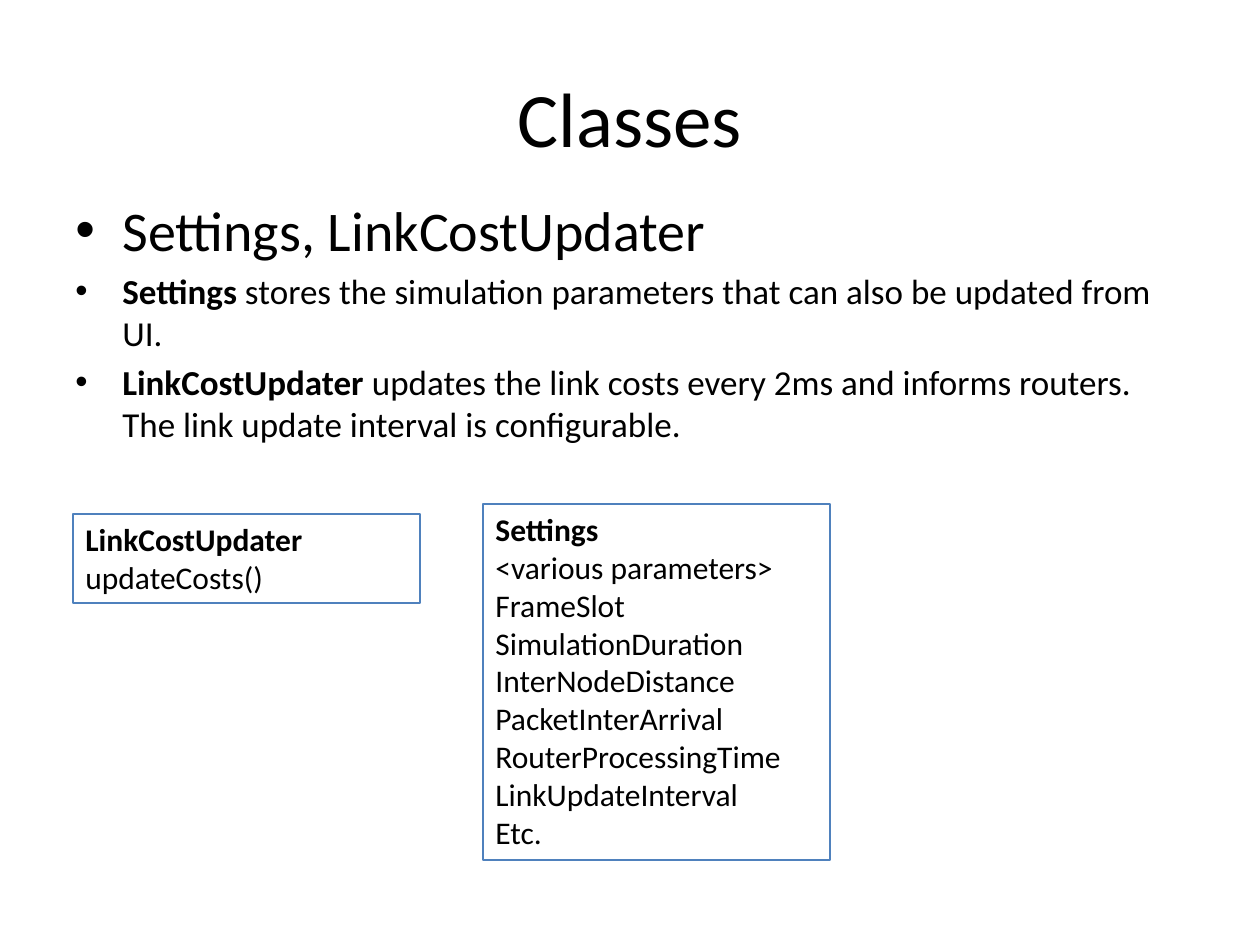
from pptx import Presentation
from pptx import util as u
from pptx.dml.color import RGBColor
from pptx.enum import shapes, text
from pptx.oxml.ns import qn
from lxml import etree

SCALE = 914400 / 126
BLACK, BLUE = "000000", "4F81BD"


def px(n):
    """Turn pixels into EMU."""
    return u.Emu(round(n * SCALE))


def color(code):
    """Turn a hex string into a colour."""
    return RGBColor.from_string(code)


def place(shape, box):
    """Move and size a shape to a pixel box."""
    shape.left, shape.top, shape.width, shape.height = map(px, box)


def write(para, words, size=18, bold=False, tint=BLACK):
    """Add one formatted run to a paragraph."""
    run = para.add_run()
    run.text = words
    font = run.font
    font.name, font.size, font.bold = "Calibri", u.Pt(size), bold
    font.color.rgb = color(tint)


def lines(frame, count):
    """Yield the given number of paragraphs of a frame."""
    for i in range(count):
        yield frame.add_paragraph() if i else frame.paragraphs[0]


def bullet(para, indent):
    """Give a paragraph a hanging round bullet."""
    props = para._p.get_or_add_pPr()
    props.set("marL", str(px(indent)))
    props.set("indent", str(-px(indent)))
    etree.SubElement(props, qn("a:buFont")).set("typeface", "Arial")
    etree.SubElement(props, qn("a:buChar")).set("char", "•")


def heading(slide, box, words):
    """Fill the title placeholder."""
    title = slide.shapes.title
    place(title, box)
    frame = title.text_frame
    frame.vertical_anchor = text.MSO_ANCHOR.MIDDLE
    para = frame.paragraphs[0]
    para.alignment = text.PP_ALIGN.CENTER
    write(para, words, size=44)


def points(slide, box, items):
    """Add the bulleted list, each item a size, a bold lead and a rest."""
    frame = slide.shapes.add_textbox(*map(px, box)).text_frame
    frame.word_wrap = True
    for i, (para, (size, lead, rest)) in enumerate(zip(lines(frame, len(items)), items)):
        if i:
            para.space_before = u.Pt(size * 0.2)
        bullet(para, 47)
        if lead:
            write(para, lead, size=size, bold=True)
        write(para, rest, size=size)


def card(slide, box, name, members):
    """Add a class box with a bold name over its members."""
    rect = slide.shapes.add_shape(shapes.MSO_SHAPE.RECTANGLE, *map(px, box))
    rect.shadow.inherit = False
    rect.fill.background()
    rect.line.color.rgb = color(BLUE)
    rect.line.width = u.Pt(0.75)
    frame = rect.text_frame
    frame.word_wrap = True
    frame.auto_size = text.MSO_AUTO_SIZE.SHAPE_TO_FIT_TEXT
    frame.vertical_anchor = text.MSO_ANCHOR.TOP
    rows = [name, *members]
    for i, (para, row) in enumerate(zip(lines(frame, len(rows)), rows)):
        para.alignment = text.PP_ALIGN.LEFT
        write(para, row, bold=i == 0)


def main():
    """Build and save the slide."""
    deck = Presentation()
    deck.slide_width, deck.slide_height = px(1260), px(945)
    slide = deck.slides.add_slide(deck.slide_layouts[5])
    heading(slide, (63, 38, 1134, 158), "Classes")
    points(slide, (63, 189, 1134, 624), [
        (32, "", "Settings, LinkCostUpdater"),
        (20, "Settings", " stores the simulation parameters that can also be updated from UI."),
        (20, "LinkCostUpdater", " updates the link costs every 2ms and informs routers. "
                                "The link update interval is configurable."),
    ])
    card(slide, (73, 514, 347, 89), "LinkCostUpdater", ["updateCosts()"])
    card(slide, (483, 504, 347, 356), "Settings", [
        "<various parameters>", "FrameSlot", "SimulationDuration", "InterNodeDistance",
        "PacketInterArrival", "RouterProcessingTime", "LinkUpdateInterval", "Etc.",
    ])
    deck.save("out.pptx")


if __name__ == "__main__":
    main()
